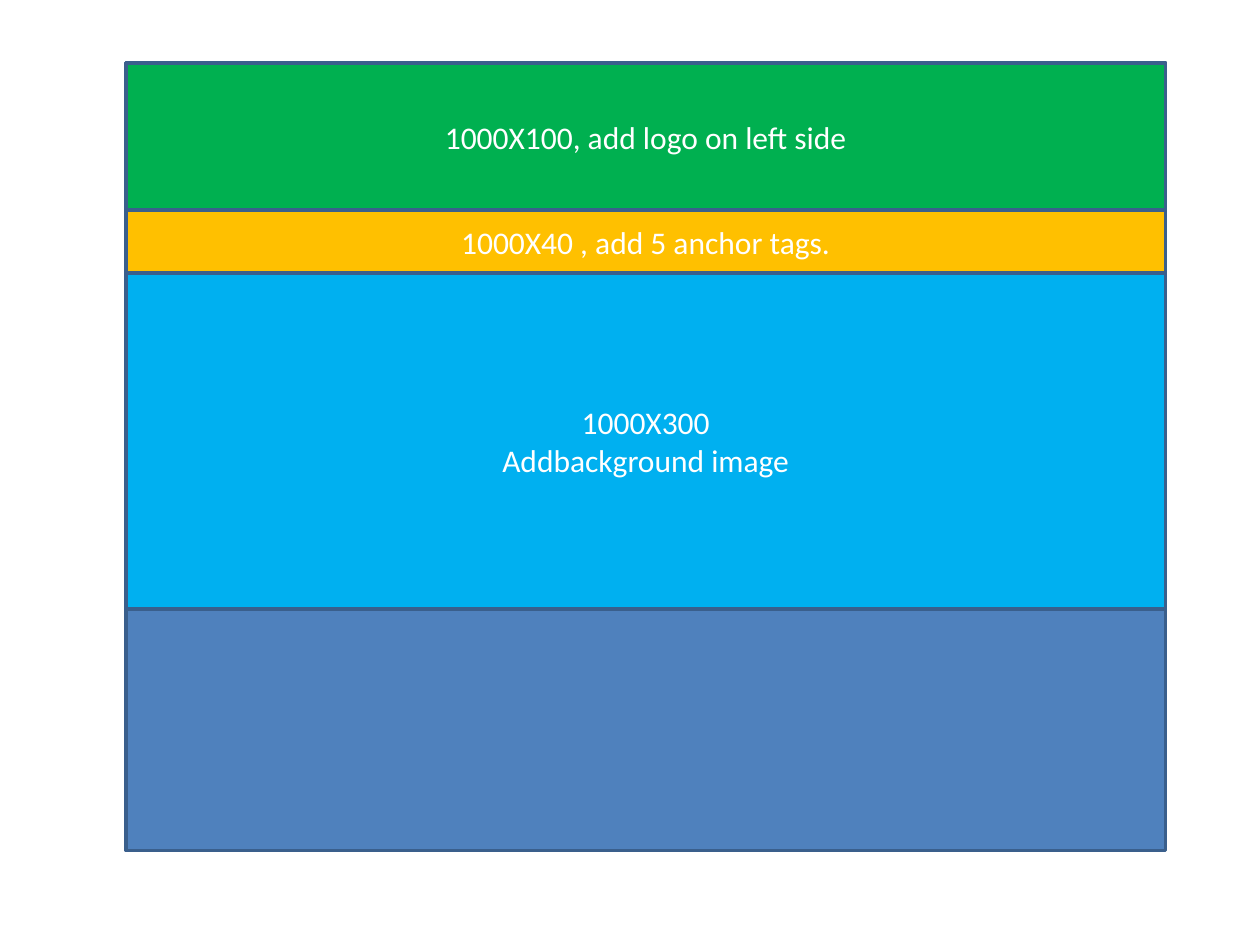
from pptx import Presentation, util as u
from pptx.dml.color import RGBColor
from pptx.enum import shapes, text

PX = 9525  # EMU per px, 96 px to the inch
PAGE_WIDTH, PAGE_HEIGHT = 960, 720

BLUE = RGBColor(0x4F, 0x81, 0xBD)
OUTLINE = RGBColor(0x3A, 0x5F, 0x8C)
GREEN = RGBColor(0x00, 0xB0, 0x50)
AMBER = RGBColor(0xFF, 0xC0, 0x00)
SKY = RGBColor(0x00, 0xB0, 0xF0)
WHITE = RGBColor(0xFF, 0xFF, 0xFF)

# Height, fill and lines of text, from the top down
BANDS = [
    (112, GREEN, ["1000X100, add logo on left side"]),
    (48, AMBER, ["1000X40 , add 5 anchor tags."]),
    (256, SKY, ["1000X300", "Addbackground image"]),
]


def add_text(para, wording, *, size=18, font="Calibri", color=WHITE):
    para.alignment = text.PP_ALIGN.CENTER
    span = para.add_run()
    span.text = wording
    span.font.size = u.Pt(size)
    span.font.name = font
    span.font.color.rgb = color


def add_block(page, left, top, width, height, fill, lines=()):
    """Add an outlined rectangle with one centred paragraph per line."""
    block = page.shapes.add_shape(
        shapes.MSO_SHAPE.RECTANGLE,
        *(u.Emu(length * PX) for length in (left, top, width, height)))
    block.shadow.inherit = False
    block.fill.solid()
    block.fill.fore_color.rgb = fill
    block.line.color.rgb = OUTLINE
    block.line.width = u.Pt(2)
    frame = block.text_frame
    frame.word_wrap = True
    frame.vertical_anchor = text.MSO_ANCHOR.MIDDLE
    for index, line in enumerate(lines):
        para = frame.add_paragraph() if index else frame.paragraphs[0]
        add_text(para, line)


def add_layout(page, left, top, width, height):
    """Draw the web page frame with its bands stacked from the top."""
    add_block(page, left, top, width, height, BLUE)
    for band_height, fill, lines in BANDS:
        add_block(page, left, top, width, band_height, fill, lines)
        top += band_height


def main():
    deck = Presentation()
    deck.slide_width = u.Emu(PAGE_WIDTH * PX)
    deck.slide_height = u.Emu(PAGE_HEIGHT * PX)
    page = deck.slides.add_slide(deck.slide_layouts[6])
    add_layout(page, left=96, top=48, width=792, height=600)
    deck.save("out.pptx")


if __name__ == "__main__":
    main()
